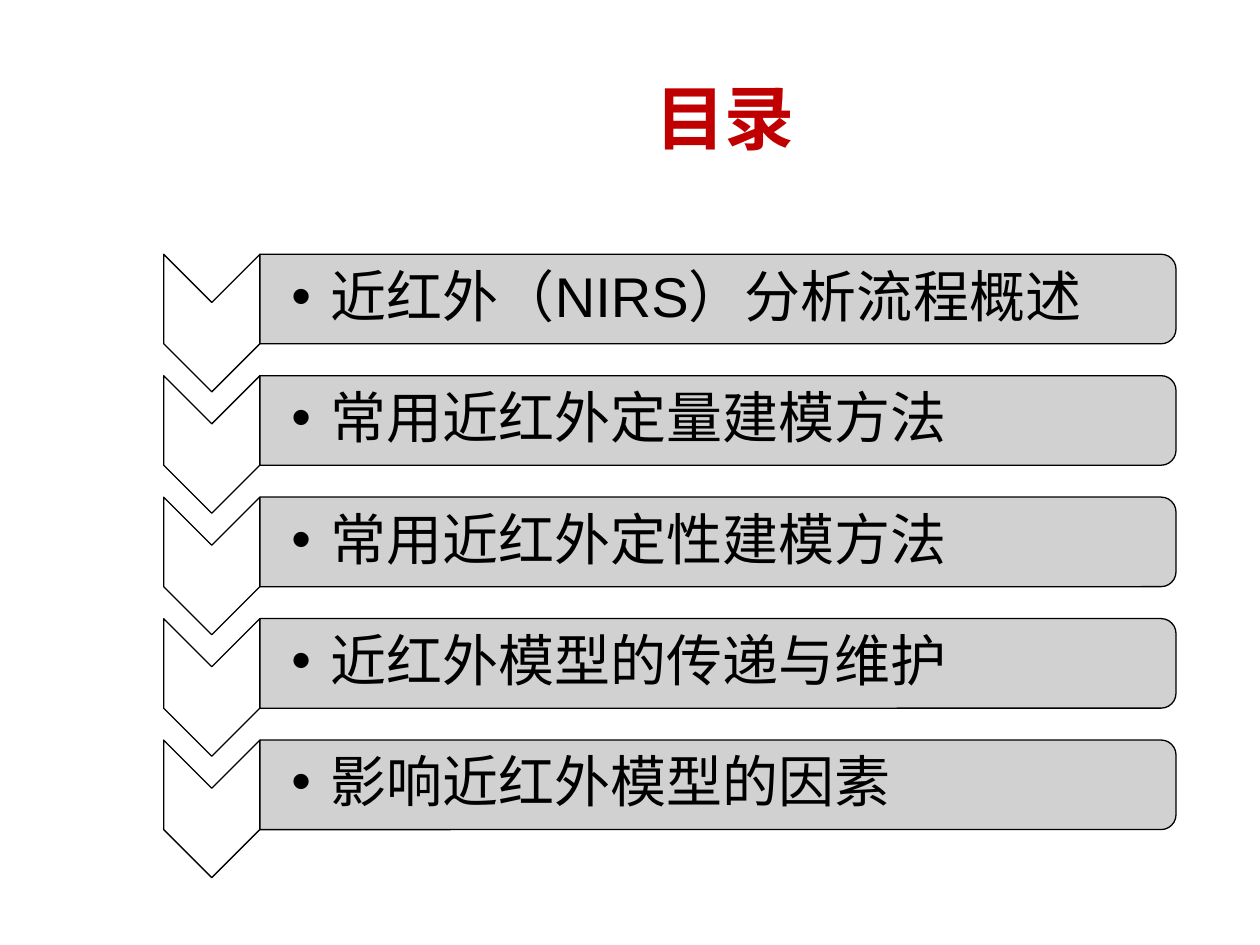
from lxml import etree
from pptx import Presentation
from pptx.dml.color import RGBColor
from pptx.enum.shapes import MSO_SHAPE
from pptx.enum.text import MSO_ANCHOR, PP_ALIGN
from pptx.oxml.ns import qn
from pptx.util import Pt

CHEVRON = MSO_SHAPE.CHEVRON
ROUND = MSO_SHAPE.ROUND_2_SAME_RECTANGLE
MIDDLE = MSO_ANCHOR.MIDDLE
CENTER = PP_ALIGN.CENTER

ITEMS = [
    "近红外（NIRS）分析流程概述",
    "常用近红外定量建模方法",
    "常用近红外定性建模方法",
    "近红外模型的传递与维护",
    "影响近红外模型的因素",
]


def color(value):
    return RGBColor.from_string(value)


def apply(target, values):
    for name, value in values.items():
        setattr(target, name, value)


def turned(slide, kind, box, fill):
    left, top, width, height = box
    shift = (width - height) / 2
    shape = slide.shapes.add_shape(
        kind, Pt(left + shift), Pt(top - shift), Pt(height), Pt(width))
    shape.rotation = 90
    shape.shadow.inherit = False
    shape.fill.solid()
    shape.fill.fore_color.rgb = color(fill)
    shape.line.color.rgb = color("000000")
    shape.line.width = Pt(0.75)
    return shape


def fade(shape, share):
    tint = shape.fill._xPr.find(qn("a:solidFill"))[0]
    etree.SubElement(tint, qn("a:alpha"), val=str(share * 1000))


def bullet(para):
    props = para._p.get_or_add_pPr()
    props.set("marL", str(Pt(22.5)))
    props.set("indent", str(Pt(-22.5)))
    etree.SubElement(props, qn("a:buFont"), typeface="Arial")
    etree.SubElement(props, qn("a:buChar"), char="•")


def label(slide, box, text, inset, ink, font, dotted=False):
    frame = slide.shapes.add_textbox(*map(Pt, box)).text_frame
    apply(frame, {"word_wrap": True, "vertical_anchor": MIDDLE, **inset})
    para = frame.paragraphs[0]
    if dotted:
        bullet(para)
        para.line_spacing = 0.9
    run = para.add_run()
    run.text = text
    apply(run.font, {"name": "Arial", **font})
    run.font.color.rgb = color(ink)
    return para


def title(slide, box):
    inset = {"margin_left": Pt(7.2), "margin_right": Pt(7.2),
             "margin_top": Pt(3.6), "margin_bottom": Pt(3.6)}
    para = label(slide, box, "目录", inset, "C00000",
                 {"size": Pt(40), "bold": True})
    para.alignment = CENTER


def entry(slide, box, text):
    left, top, width, height = box
    arrow = 55
    start, span = left + arrow, width - arrow
    turned(slide, CHEVRON, (left, top, arrow, height), "FFFFFF")
    bar = turned(slide, ROUND, (start, top, span, 51.2), "CCCCCC")
    fade(bar, 90)
    inset = {"margin_left": Pt(18), "margin_right": Pt(1.6),
             "margin_top": Pt(1.6), "margin_bottom": Pt(1.6)}
    label(slide, (start, top + 2.5, span - 2.5, 46.2), text, inset,
          "000000", {"size": Pt(32)}, dotted=True)


def agenda(slide, box):
    left, top, width, height = box
    tall = 78.6
    step = (height - tall) / (len(ITEMS) - 1)
    for row, text in enumerate(ITEMS):
        entry(slide, (left, top + row * step, width, tall), text)


def main():
    deck = Presentation()
    apply(deck, {"slide_width": Pt(720), "slide_height": Pt(540)})
    slide = deck.slides.add_slide(deck.slide_layouts[6])
    agenda(slide, (93.5, 145.3, 578.5, 356.2))
    title(slide, (144.5, 21.6, 539.5, 90))
    deck.save("out.pptx")


if __name__ == "__main__":
    main()
